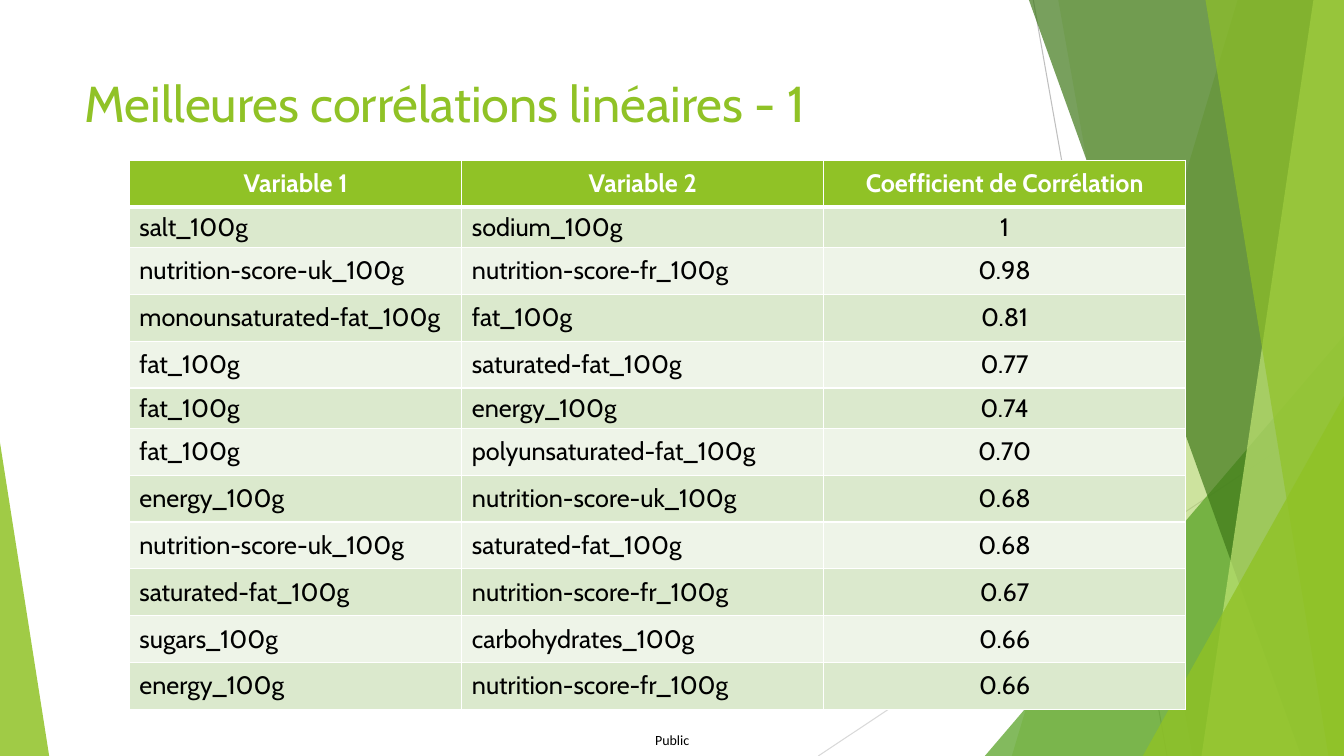
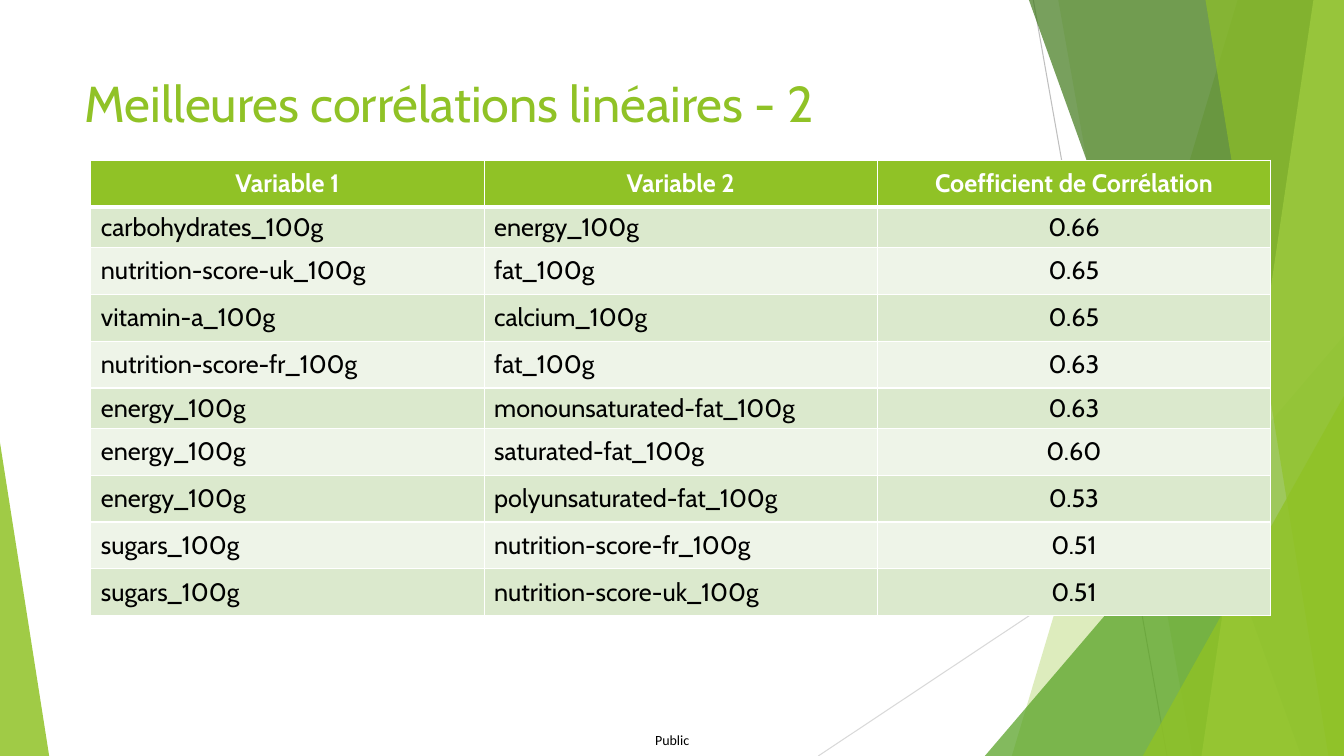
"""Build two slides of the best linear correlations between food variables."""
from dataclasses import dataclass
from typing import Any, NamedTuple

from pptx import Presentation, util as u
from pptx.dml.color import RGBColor
from pptx.enum import shapes, text
from pptx.oxml import ns, xmlchemy


@dataclass(frozen=True)
class Theme:
    lime: str = "90C226"
    leaf: str = "54A021"
    moss: str = "3F7819"
    pale: str = "C0E474"
    odd: str = "DBE9CD"
    even: str = "EEF4E8"
    white: str = "FFFFFF"
    black: str = "000000"
    face: str = "Cabin"
    plain: str = "Calibri"
    title: int = 36
    body: int = 18
    foot: int = 10
    thin: float = 1
    thick: float = 3
    hair: float = 0.75


class Band(NamedTuple):
    top: float
    base: float
    color: str
    alpha: int


class Wedge(NamedTuple):
    left: float
    top: float
    width: float
    height: float
    peak: int
    color: str
    alpha: int


class Ray(NamedTuple):
    x1: float
    y1: float
    x2: float
    y2: float
    color: str


class Page(NamedTuple):
    title: str
    left: float
    cols: tuple[float, ...]
    rows: list[tuple[str, str, str]]


THEME = Theme()
WIDTH, HEIGHT = 33.87, 19.05
TOP, TALL, SHORT = 4.04, 1.18, 0.86
SHORT_ROWS = (1, 5)
HEAD = ("Variable 1", "Variable 2", "Coefficient de Corrélation")

DECOR = [
    Ray(26.04, 0, 29.41, HEIGHT, "BFBFBF"),
    Ray(WIDTH, 10.24, 20.62, HEIGHT, "D9D9D9"),
    Band(31.19, 25.5, THEME.lime, 30),
    Band(26.67, 30.05, THEME.lime, 20),
    Wedge(24.82, 8.46, 9.05, 10.59, 1, THEME.leaf, 72),
    Band(25.93, 32.79, THEME.moss, 70),
    Band(33.1, 30.28, THEME.pale, 70),
    Band(30.38, 33.48, THEME.lime, 65),
    Wedge(28.8, 9.98, 5.07, 9.07, 1, THEME.lime, 80),
    Wedge(0, 11.15, 1.24, 7.9, 0, THEME.lime, 85),
]

PAGES = [
    Page("Meilleures corrélations linéaires - 1", 3.26, (8.38, 9.12, 9.12), [
        ("salt_100g", "sodium_100g", "1"),
        ("nutrition-score-uk_100g", "nutrition-score-fr_100g", "0.98"),
        ("monounsaturated-fat_100g", "fat_100g", "0.81"),
        ("fat_100g", "saturated-fat_100g", "0.77"),
        ("fat_100g", "energy_100g", "0.74"),
        ("fat_100g", "polyunsaturated-fat_100g", "0.70"),
        ("energy_100g", "nutrition-score-uk_100g", "0.68"),
        ("nutrition-score-uk_100g", "saturated-fat_100g", "0.68"),
        ("saturated-fat_100g", "nutrition-score-fr_100g", "0.67"),
        ("sugars_100g", "carbohydrates_100g", "0.66"),
        ("energy_100g", "nutrition-score-fr_100g", "0.66"),
    ]),
    Page("Meilleures corrélations linéaires - 2", 2.29, (9.91,) * 3, [
        ("carbohydrates_100g", "energy_100g", "0.66"),
        ("nutrition-score-uk_100g", "fat_100g", "0.65"),
        ("vitamin-a_100g", "calcium_100g", "0.65"),
        ("nutrition-score-fr_100g", "fat_100g", "0.63"),
        ("energy_100g", "monounsaturated-fat_100g", "0.63"),
        ("energy_100g", "saturated-fat_100g", "0.60"),
        ("energy_100g", "polyunsaturated-fat_100g", "0.53"),
        ("sugars_100g", "nutrition-score-fr_100g", "0.51"),
        ("sugars_100g", "nutrition-score-uk_100g", "0.51"),
    ]),
]


def apply(item: Any, **values: Any) -> None:
    """Set each named attribute of the item."""
    for name, value in values.items():
        setattr(item, name, value)


def node(parent: Any, tag: str, **values: str) -> Any:
    """Append a child element with the given attributes."""
    child = xmlchemy.OxmlElement(tag)
    for name, value in values.items():
        child.set(name, value)
    parent.append(child)
    return child


def write(frame: Any, words: str, face: str, size: int, color: str,
          bold: bool = False, align: Any = text.PP_ALIGN.LEFT) -> None:
    """Fill a text frame with one formatted run."""
    para = frame.paragraphs[0]
    para.alignment = align
    run = para.add_run()
    run.text = words
    apply(run.font, name=face, size=u.Pt(size), bold=bold)
    run.font.color.rgb = RGBColor.from_string(color)


def tint(shape: Any, color: str, alpha: int) -> None:
    """Give a shape a see-through fill without outline or shadow."""
    shape.shadow.inherit = False
    shape.line.fill.background()
    shape.fill.solid()
    shape.fill.fore_color.rgb = RGBColor.from_string(color)
    fill = shape.element.spPr.find(".//" + ns.qn("a:srgbClr"))
    node(fill, "a:alpha", val=str(alpha * 1000))


def draw_ray(slide: Any, ray: Ray) -> None:
    """Draw a hairline."""
    ends = map(u.Cm, ray[:4])
    line = slide.shapes.add_connector(shapes.MSO_CONNECTOR.STRAIGHT, *ends)
    line.line.width = u.Pt(THEME.hair)
    line.line.color.rgb = RGBColor.from_string(ray.color)
    node(line.element.spPr, "a:effectLst")


def draw_band(slide: Any, band: Band) -> None:
    """Draw a slanted band that reaches the right edge."""
    spots = [(WIDTH, 0), (WIDTH, HEIGHT), (band.base, HEIGHT)]
    form = slide.shapes.build_freeform(u.Cm(band.top), 0)
    form.add_line_segments([(u.Cm(x), u.Cm(y)) for x, y in spots], close=True)
    tint(form.convert_to_shape(), band.color, band.alpha)


def draw_wedge(slide: Any, wedge: Wedge) -> None:
    """Draw a right-angled triangle in a lower corner."""
    shape = slide.shapes.add_shape(
        shapes.MSO_SHAPE.ISOSCELES_TRIANGLE, *map(u.Cm, wedge[:4]))
    shape.adjustments[0] = wedge.peak
    tint(shape, wedge.color, wedge.alpha)


def draw_foot(slide: Any) -> None:
    """Write the footer mark."""
    box = slide.shapes.add_textbox(*map(u.Cm, (16.51, 18.44, 0.94, 0.43)))
    apply(box.text_frame, margin_left=0, margin_right=0, margin_top=0,
          margin_bottom=0, word_wrap=True)
    write(box.text_frame, "Public", THEME.plain, THEME.foot, THEME.black)


def draw_title(slide: Any, words: str) -> None:
    """Place and write the title."""
    title = slide.shapes.title
    apply(title, left=u.Cm(1.88), top=u.Cm(1.7),
          width=u.Cm(23.88), height=u.Cm(3.66))
    apply(title.text_frame, word_wrap=True, auto_size=text.MSO_AUTO_SIZE.NONE,
          vertical_anchor=text.MSO_ANCHOR.TOP)
    write(title.text_frame, words, THEME.face, THEME.title, THEME.lime)


def edge(cell: Any, **widths: float) -> None:
    """Put white borders on the named sides of a cell."""
    props = cell._tc.get_or_add_tcPr()
    for spot, side in enumerate("LRTB"):
        width = u.Pt(widths.get(side, THEME.thin))
        line = node(props, f"a:ln{side}", w=str(width))
        node(node(line, "a:solidFill"), "a:srgbClr", val=THEME.white)
        props.insert(spot, line)


def draw_table(slide: Any, page: Page) -> None:
    """Draw the table of correlations."""
    rows = [HEAD, *page.rows]
    highs = [SHORT if i in SHORT_ROWS else TALL for i in range(len(rows))]
    area = (page.left, TOP, sum(page.cols), sum(highs))
    table = slide.shapes.add_table(
        len(rows), len(page.cols), *map(u.Cm, area)).table
    for col, width in zip(table.columns, page.cols):
        col.width = u.Cm(width)
    for i, (row, high) in enumerate(zip(rows, highs)):
        table.rows[i].height = u.Cm(high)
        head = i == 0
        fill = THEME.lime if head else (THEME.even, THEME.odd)[i % 2]
        color = THEME.white if head else THEME.black
        sides = {0: {"B": THEME.thick}, 1: {"T": THEME.thick}}.get(i, {})
        for j, words in enumerate(row):
            cell = table.cell(i, j)
            mid = head or j == len(row) - 1
            align = text.PP_ALIGN.CENTER if mid else text.PP_ALIGN.LEFT
            cell.vertical_anchor = text.MSO_ANCHOR.MIDDLE
            cell.fill.solid()
            cell.fill.fore_color.rgb = RGBColor.from_string(fill)
            edge(cell, **sides)
            write(cell.text_frame, words, THEME.face, THEME.body, color,
                  head, align)


def draw_page(deck: Any, page: Page) -> None:
    """Add one slide with its decor, title and table."""
    slide = deck.slides.add_slide(deck.slide_layouts.get_by_name("Title Only"))
    tools = {Ray: draw_ray, Band: draw_band, Wedge: draw_wedge}
    for item in DECOR:
        tools[type(item)](slide, item)
    draw_foot(slide)
    draw_title(slide, page.title)
    draw_table(slide, page)


def main() -> None:
    """Build and save the deck."""
    deck = Presentation()
    apply(deck, slide_width=u.Cm(WIDTH), slide_height=u.Cm(HEIGHT))
    for page in PAGES:
        draw_page(deck, page)
    deck.save("out.pptx")


if __name__ == "__main__":
    main()
